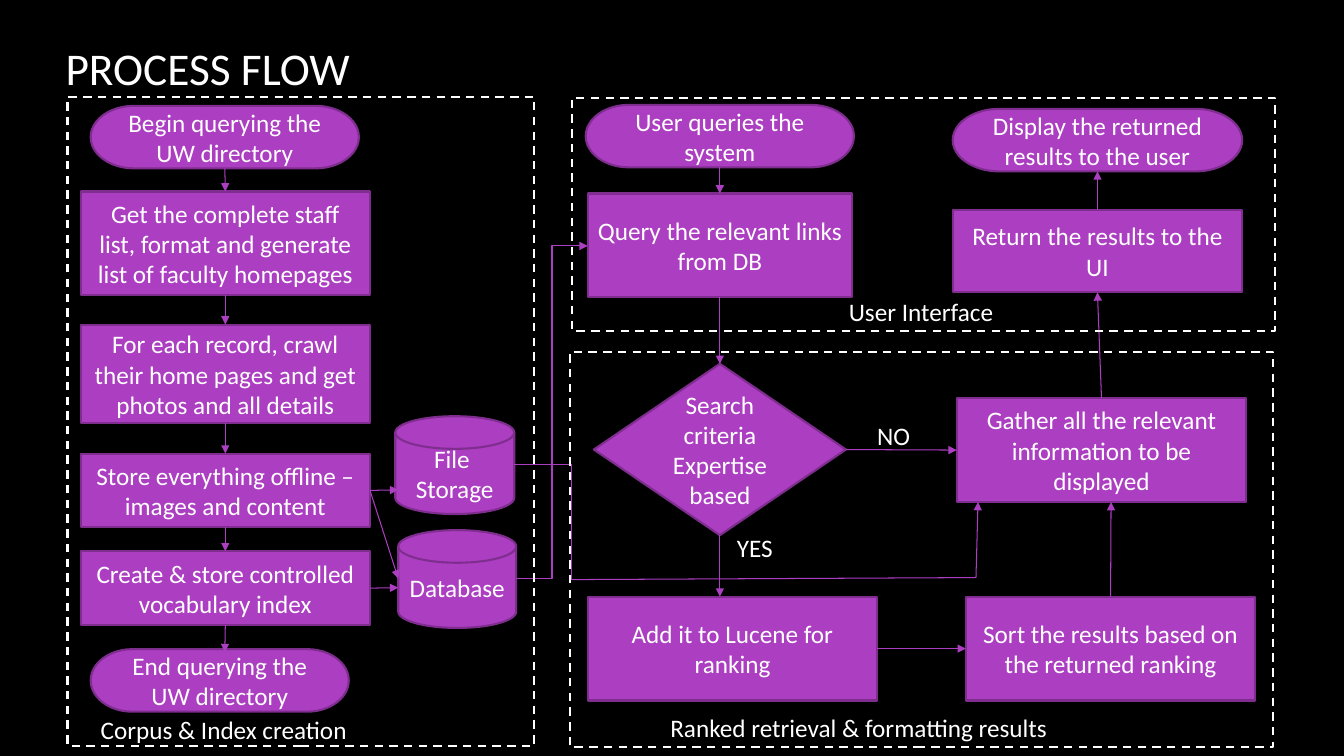
import pptx
import pptx.util
import pptx.dml.color
import pptx.enum.dml
import pptx.enum.shapes
import pptx.enum.text
import pptx.oxml.ns
from lxml import etree

Inches, Pt = pptx.util.Inches, pptx.util.Pt
RGBColor = pptx.dml.color.RGBColor
SHAPE = pptx.enum.shapes.MSO_SHAPE
CONNECTOR = pptx.enum.shapes.MSO_CONNECTOR
ALIGN = pptx.enum.text.PP_ALIGN
ANCHOR = pptx.enum.text.MSO_ANCHOR
qn = pptx.oxml.ns.qn

BLACK = RGBColor(0x00, 0x00, 0x00)
WHITE = RGBColor(0xFF, 0xFF, 0xFF)
PURPLE = RGBColor(0xAC, 0x3E, 0xC1)
DARK_PURPLE = RGBColor(0x7F, 0x2E, 0x8F)

TOP, LEFT, BOTTOM, RIGHT = range(4)


class FlowSlide:
    font = "Calibri"
    size = 18

    def __init__(self, prs):
        self.s = prs.slides.add_slide(prs.slide_layouts[5])
        fill = self.s.background.fill
        fill.solid()
        fill.fore_color.rgb = BLACK

    def set_text(self, sp, text, align, anchor, size=size):
        tf = sp.text_frame
        tf.text = text
        tf.word_wrap = True
        tf.auto_size = pptx.enum.text.MSO_AUTO_SIZE.NONE
        tf.vertical_anchor = anchor
        for p in tf.paragraphs:
            p.alignment = align
            for r in p.runs:
                r.font.name = self.font
                r.font.size = Pt(size)
                r.font.color.rgb = WHITE

    def title(self, text, x, y, w, h):
        sp = self.s.shapes.title
        sp.left, sp.top, sp.width, sp.height = map(Inches, (x, y, w, h))
        self.set_text(sp, text, ALIGN.LEFT, ANCHOR.MIDDLE, 32.4)

    def step(self, text, x, y, w, h, kind=SHAPE.RECTANGLE):
        sp = self.s.shapes.add_shape(kind, *map(Inches, (x, y, w, h)))
        sp.shadow.inherit = False
        sp.fill.solid()
        sp.fill.fore_color.rgb = PURPLE
        sp.line.color.rgb = DARK_PURPLE
        sp.line.width = Pt(1.5)
        self.set_text(sp, text, ALIGN.CENTER, ANCHOR.MIDDLE)
        return sp

    def frame(self, x, y, w, h):
        sp = self.s.shapes.add_shape(SHAPE.RECTANGLE, *map(Inches, (x, y, w, h)))
        sp.shadow.inherit = False
        sp.fill.background()
        sp.line.color.rgb = WHITE
        sp.line.width = Pt(1.5)
        sp.line.dash_style = pptx.enum.dml.MSO_LINE.DASH

    def label(self, text, x, y, w, h=0.4):
        sp = self.s.shapes.add_textbox(*map(Inches, (x, y, w, h)))
        self.set_text(sp, text, ALIGN.LEFT, ANCHOR.TOP)

    def link(self, begin, end, kind=CONNECTOR.STRAIGHT, arrow=True):
        """Join two ends, each an (x, y) point in inches or a (shape, side) pair."""
        glued = [not isinstance(e[0], (int, float)) for e in (begin, end)]
        points = [(0, 0) if g else e for g, e in zip(glued, (begin, end))]
        cx = self.s.shapes.add_connector(
            kind, *[Inches(v) for point in points for v in point])
        if glued[0]:
            cx.begin_connect(*begin)
        if glued[1]:
            cx.end_connect(*end)
        cx.line.color.rgb = PURPLE
        cx.line.width = Pt(0.75)
        spPr = cx._element.spPr
        if arrow:
            etree.SubElement(spPr.find(qn("a:ln")), qn("a:tailEnd"), type="triangle")
        etree.SubElement(spPr, qn("a:effectLst"))


def main():
    prs = pptx.Presentation()
    prs.slide_width, prs.slide_height = Inches(13.33), Inches(7.5)
    flow = FlowSlide(prs)
    flow.title("PROCESS FLOW", 0.55, 0.36, 11.08, 0.62)

    # Corpus and index creation
    begin = flow.step("Begin querying the UW directory",
                      0.9, 1.05, 2.66, 0.62, SHAPE.FLOWCHART_TERMINATOR)
    flow.step("End querying the UW directory",
              0.9, 6.44, 2.56, 0.62, SHAPE.FLOWCHART_TERMINATOR)
    staff, crawl, store, index = [
        flow.step(text, 0.8, y, 2.87, h) for text, y, h in (
            ("Get the complete staff list, format and generate list of faculty homepages",
             1.9, 1.03),
            ("For each record, crawl their home pages and get photos and all details",
             3.22, 0.98),
            ("Store everything offline – images and content", 4.5, 0.73),
            ("Create & store controlled vocabulary index", 5.47, 0.73))]
    flow.step("Database", 3.95, 5.26, 1.17, 0.97, SHAPE.FLOWCHART_MAGNETIC_DISK)
    flow.step("File \nStorage", 3.92, 4.13, 1.18, 0.97, SHAPE.FLOWCHART_MAGNETIC_DISK)

    # User interface
    user = flow.step("User queries the system",
                     5.81, 1.04, 2.66, 0.62, SHAPE.FLOWCHART_TERMINATOR)
    query = flow.step("Query the relevant links from DB", 5.83, 1.92, 2.62, 1.03)
    display = flow.step("Display the returned results to the user",
                        9.45, 1.08, 2.87, 0.62, SHAPE.FLOWCHART_TERMINATOR)
    result = flow.step("Return the results to the UI", 9.45, 2.08, 2.87, 0.82)

    # Ranked retrieval
    search = flow.step("Search criteria Expertise based",
                       5.89, 3.61, 2.5, 1.7, SHAPE.FLOWCHART_DECISION)
    gather = flow.step("Gather all the relevant information to be displayed",
                       9.49, 3.95, 2.87, 1.03)
    lucene = flow.step("Add it to Lucene for ranking", 5.83, 5.92, 2.87, 1.03)
    ranking = flow.step("Sort the results based on the returned ranking",
                        9.58, 5.92, 2.87, 1.03)

    for upper, lower in ((begin, staff), (staff, crawl), (crawl, store),
                         (store, index), (user, query), (query, search)):
        flow.link((upper, BOTTOM), (lower, TOP))
    for lower, upper in ((gather, result), (result, display)):
        flow.link((lower, TOP), (upper, BOTTOM))
    for left, right in ((search, gather), (lucene, ranking)):
        flow.link((left, RIGHT), (right, LEFT))
    for start, point in (((index, BOTTOM), (2.23, 6.47)),
                         ((index, RIGHT), (3.95, 5.83)),
                         ((store, RIGHT), (3.95, 4.86)),
                         ((store, RIGHT), (3.95, 5.74)),
                         ((search, BOTTOM), (7.14, 5.92)),
                         ((ranking, TOP), (11.02, 4.98))):
        flow.link(start, point)

    flow.link((5.12, 5.74), (5.83, 2.44), CONNECTOR.ELBOW)
    route = [(5.1, 4.61), (5.67, 4.61), (5.67, 5.75), (9.68, 5.73), (9.7, 4.98)]
    for i, (start, stop) in enumerate(zip(route, route[1:]), 2):
        flow.link(start, stop, arrow=i == len(route))

    for area in ((0.67, 0.96, 4.63, 6.44), (5.67, 0.97, 6.98, 2.31),
                 (5.65, 3.49, 6.98, 3.92)):
        flow.frame(*area)
    for text, x, y, w in (("Corpus & Index creation", 0.9, 7.04, 2.66),
                          ("User Interface", 8.32, 2.89, 1.75),
                          ("Ranked retrieval & formatting results", 6.55, 7.02, 4.71),
                          ("YES", 7.21, 5.23, 0.6),
                          ("NO", 8.6, 4.12, 0.59)):
        flow.label(text, x, y, w)

    prs.save("out.pptx")


if __name__ == "__main__":
    main()
